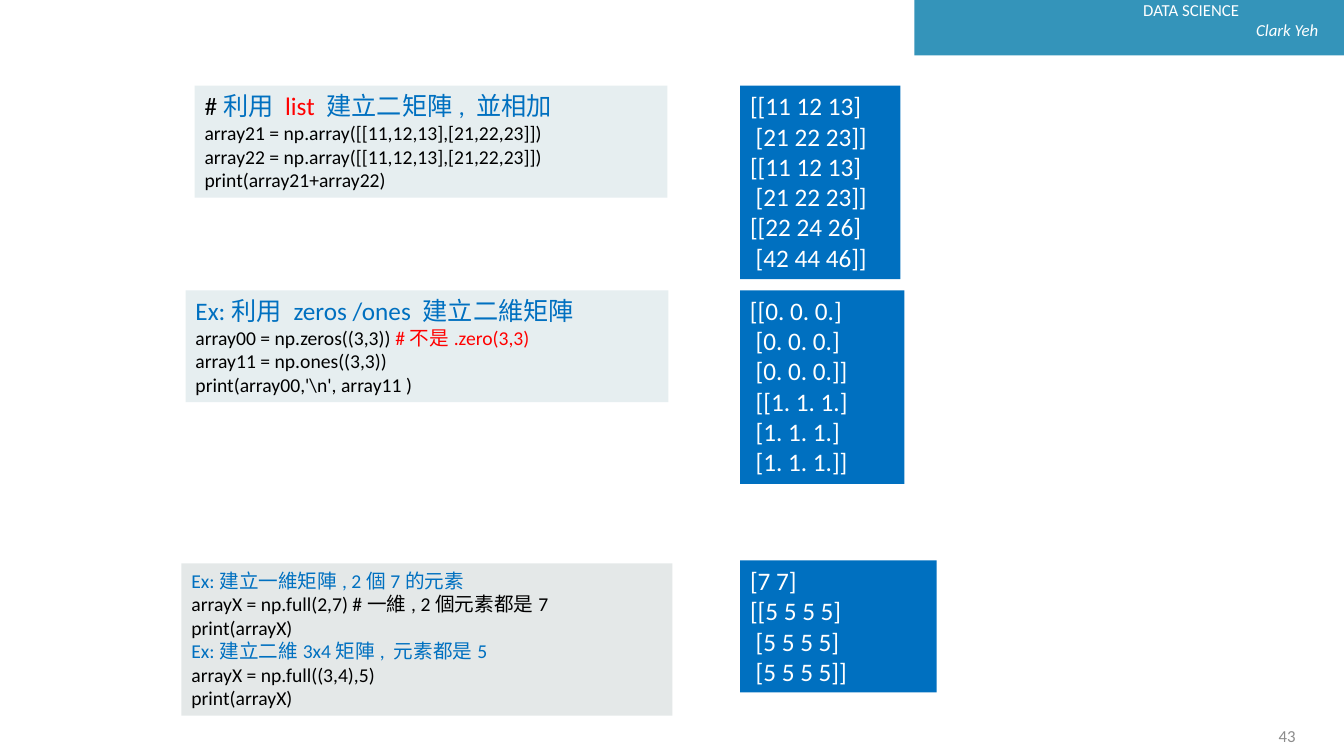
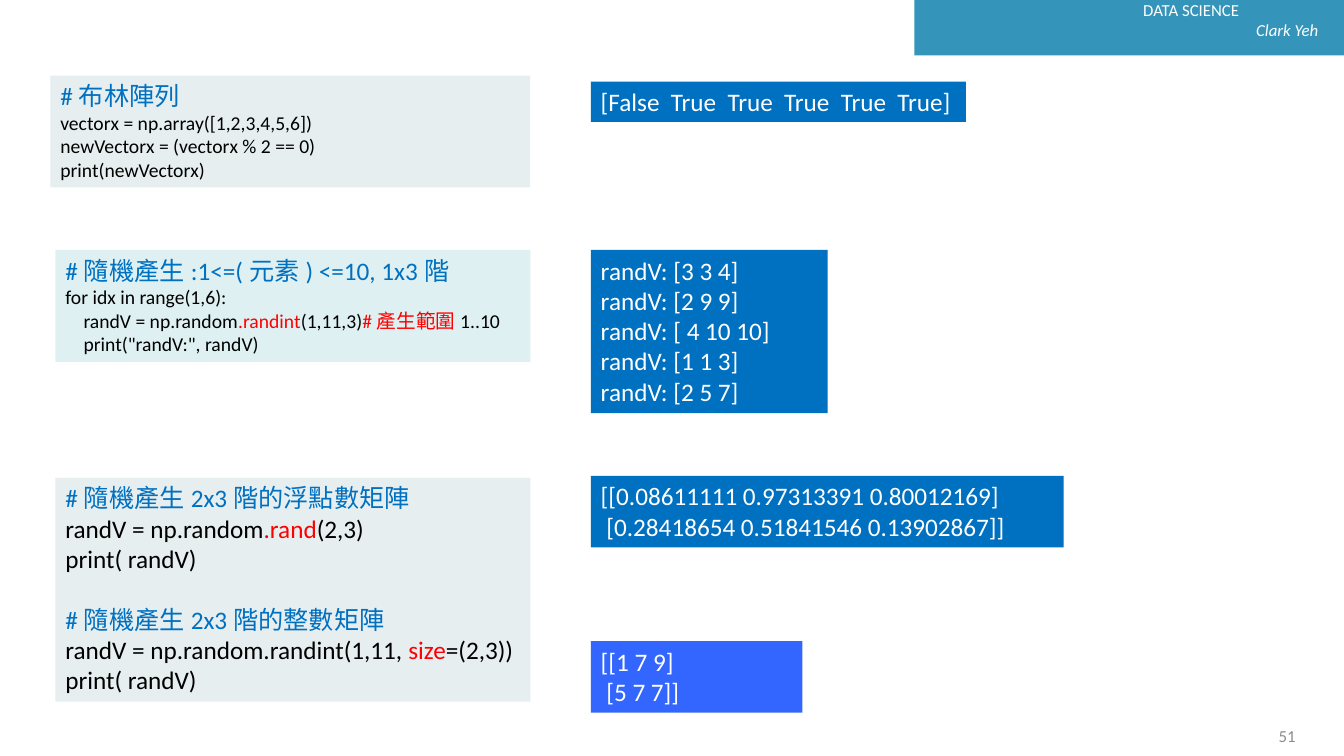
from dataclasses import dataclass

from pptx import Presentation
from pptx.dml.color import RGBColor
from pptx.enum.shapes import MSO_SHAPE
from pptx.enum.text import MSO_ANCHOR, MSO_AUTO_SIZE, PP_ALIGN
from pptx.util import Inches, Pt

RECT = MSO_SHAPE.RECTANGLE
MIDDLE = MSO_ANCHOR.MIDDLE
GROW = MSO_AUTO_SIZE.SHAPE_TO_FIT_TEXT
LEFT, RIGHT = PP_ALIGN.LEFT, PP_ALIGN.RIGHT


@dataclass(frozen=True)
class Theme:
    font: str = "Calibri"
    band: str = "3494BA"
    code: str = "E6EEF0"
    code_gray: str = "E4E8E8"
    code_cyan: str = "DEF0F2"
    output: str = "0070C0"
    output_bright: str = "3366FF"
    heading: str = "0070C0"
    accent: str = "FF0000"
    black: str = "000000"
    white: str = "FFFFFF"
    gray: str = "8C8C8C"
    large: int = 18
    body: int = 14
    small: int = 12


T = Theme()


def add_box(s, box, fill=None):
    pos = [Inches(v) for v in box]
    if fill is None:
        sp = s.shapes.add_textbox(*pos)
    else:
        sp = s.shapes.add_shape(RECT, *pos)
        sp.shadow.inherit = False
        sp.fill.solid()
        sp.fill.fore_color.rgb = RGBColor.from_string(fill)
        sp.line.fill.background()
    tf = sp.text_frame
    tf.word_wrap = True
    tf.vertical_anchor = MSO_ANCHOR.TOP
    return sp


def add_line(tf, size, runs, align=LEFT, indent=0, before=0, italic=False):
    p = tf.paragraphs[0]
    if p.runs:
        p = tf.add_paragraph()
    p.alignment = align
    p.space_before = Pt(before)
    if indent:
        p._p.get_or_add_pPr().set("marL", str(Inches(indent)))
    for text, color in runs:
        r = p.add_run()
        r.text = text
        r.font.name = T.font
        r.font.size = Pt(size)
        r.font.italic = italic
        r.font.color.rgb = RGBColor.from_string(color)


CODE_INDENT = 0.18
BLANK_LINE = 22

slides = [
    {
        "number": "43",
        "code": [
            ((1.93, 0.85, 4.69, 1.11), T.code, [
                (T.large, [("#", T.black), ("利用 ", T.heading), ("list ", T.accent),
                           ("建立二矩陣, 並相加", T.heading)]),
                (T.body, [("array21 = np.array([[11,12,13],[21,22,23]])", T.black)]),
                (T.body, [("array22 = np.array([[11,12,13],[21,22,23]])", T.black)]),
                (T.body, [("print(array21+array22)", T.black)]),
            ]),
            ((1.84, 2.88, 4.79, 1.11), T.code, [
                (T.large, [("Ex:利用 zeros /ones 建立二維矩陣", T.heading)]),
                (T.body, [("array00 = np.zeros((3,3)) ", T.black),
                          ("#不是.zero(3,3)", T.accent)]),
                (T.body, [("array11 = np.ones((3,3))", T.black)]),
                (T.body, [("print(array00,'\\n', array11 )", T.black)]),
            ]),
            ((1.8, 5.59, 4.87, 1.51), T.code_gray, [
                (T.body, [("Ex:建立一維矩陣, 2個7的元素", T.heading)]),
                (T.body, [("arrayX = np.full(2,7) #一維, 2個元素都是7", T.black)]),
                (T.body, [("print(arrayX)", T.black)]),
                (T.body, [("Ex:建立二維3x4矩陣, 元素都是5", T.heading)]),
                (T.body, [("arrayX = np.full((3,4),5)", T.black)]),
                (T.body, [("print(arrayX)", T.black)]),
            ]),
        ],
        "output_left": 7.34,
        "output": [
            (0.85, 1.59, 1.92, T.output,
             ["[[11 12 13]", " [21 22 23]]", "[[11 12 13]", " [21 22 23]]",
              "[[22 24 26]", " [42 44 46]]"]),
            (2.88, 1.63, 1.92, T.output,
             ["[[0. 0. 0.]", " [0. 0. 0.]", " [0. 0. 0.]]",
              " [[1. 1. 1.]", " [1. 1. 1.]", " [1. 1. 1.]]"]),
            (5.56, 1.95, 1.31, T.output,
             ["[7 7]", "[[5 5 5 5]", " [5 5 5 5]", " [5 5 5 5]]"]),
        ],
    },
    {
        "number": "51",
        "code": [
            ((0.5, 0.75, 4.76, 1.11), T.code, [
                (T.large, [("#布林陣列", T.heading)]),
                (T.body, [("vectorx = np.array([1,2,3,4,5,6])", T.black)]),
                (T.body, [("newVectorx = (vectorx % 2 == 0)", T.black)]),
                (T.body, [("print(newVectorx)", T.black)]),
            ]),
            ((0.55, 2.48, 4.71, 1.11), T.code_cyan, [
                (T.large, [("#隨機產生:1<=(元素) <=10, 1x3階", T.heading)]),
                (T.body, [("for idx in range(1,6):", T.black)]),
                (T.body, [("randV = np.random", T.black), (".randint", T.accent),
                          ("(1,11,3)", T.black), ("#產生範圍", T.accent),
                          ("1..10", T.black)], LEFT, CODE_INDENT),
                (T.body, [('print("randV:", randV)', T.black)], LEFT, CODE_INDENT),
            ]),
            ((0.55, 4.74, 4.71, 2.22), T.code, [
                (T.large, [("#隨機產生2x3階的浮點數矩陣", T.heading)]),
                (T.large, [("randV = np.random", T.black), (".rand", T.accent),
                           ("(2,3)", T.black)]),
                (T.large, [("print( randV)", T.black)]),
                (T.large, [("#隨機產生2x3階的整數矩陣", T.heading)], LEFT, 0, BLANK_LINE),
                (T.large, [("randV = np.random.randint(1,11, ", T.black),
                           ("size", T.accent), ("=(2,3))", T.black)]),
                (T.large, [("print( randV)", T.black)]),
            ]),
        ],
        "output_left": 5.86,
        "output": [
            (0.81, 3.72, 0.4, T.output, ["[False  True  True  True  True  True]"]),
            (2.48, 2.35, 1.62, T.output,
             ["randV: [3 3 4]", "randV: [2 9 9]", "randV: [ 4 10 10]",
              "randV: [1 1 3]", "randV: [2 5 7]"]),
            (4.72, 4.69, 0.71, T.output,
             ["[[0.08611111 0.97313391 0.80012169]",
              " [0.28418654 0.51841546 0.13902867]]"]),
            (6.36, 2.1, 0.71, T.output_bright, ["[[1 7 9]", " [5 7 7]]"]),
        ],
    },
]

prs = Presentation()
prs.slide_width = Inches(13.33)
prs.slide_height = Inches(7.5)

for content in slides:
    s = prs.slides.add_slide(prs.slide_layouts[6])

    add_box(s, (9.07, 0, 4.26, 0.55), T.band)
    tf = add_box(s, (11.24, -0.05, 2.09, 0.5)).text_frame
    add_line(tf, T.small, [("DATA SCIENCE", T.white)])
    add_line(tf, T.small, [("Clark Yeh", T.white)], indent=1.12, italic=True)

    tf = add_box(s, (9.95, 7.1, 3, 0.4)).text_frame
    tf.vertical_anchor = MIDDLE
    add_line(tf, T.small, [(content["number"], T.gray)], RIGHT)

    for box, fill, lines in content["code"]:
        tf = add_box(s, box, fill).text_frame
        tf.auto_size = GROW
        for line in lines:
            add_line(tf, *line)

    for top, width, height, fill, lines in content["output"]:
        tf = add_box(s, (content["output_left"], top, width, height), fill).text_frame
        tf.auto_size = GROW
        tf.word_wrap = len(lines) > 1
        for line in lines:
            add_line(tf, T.large, [(line, T.white)])

prs.save("out.pptx")
